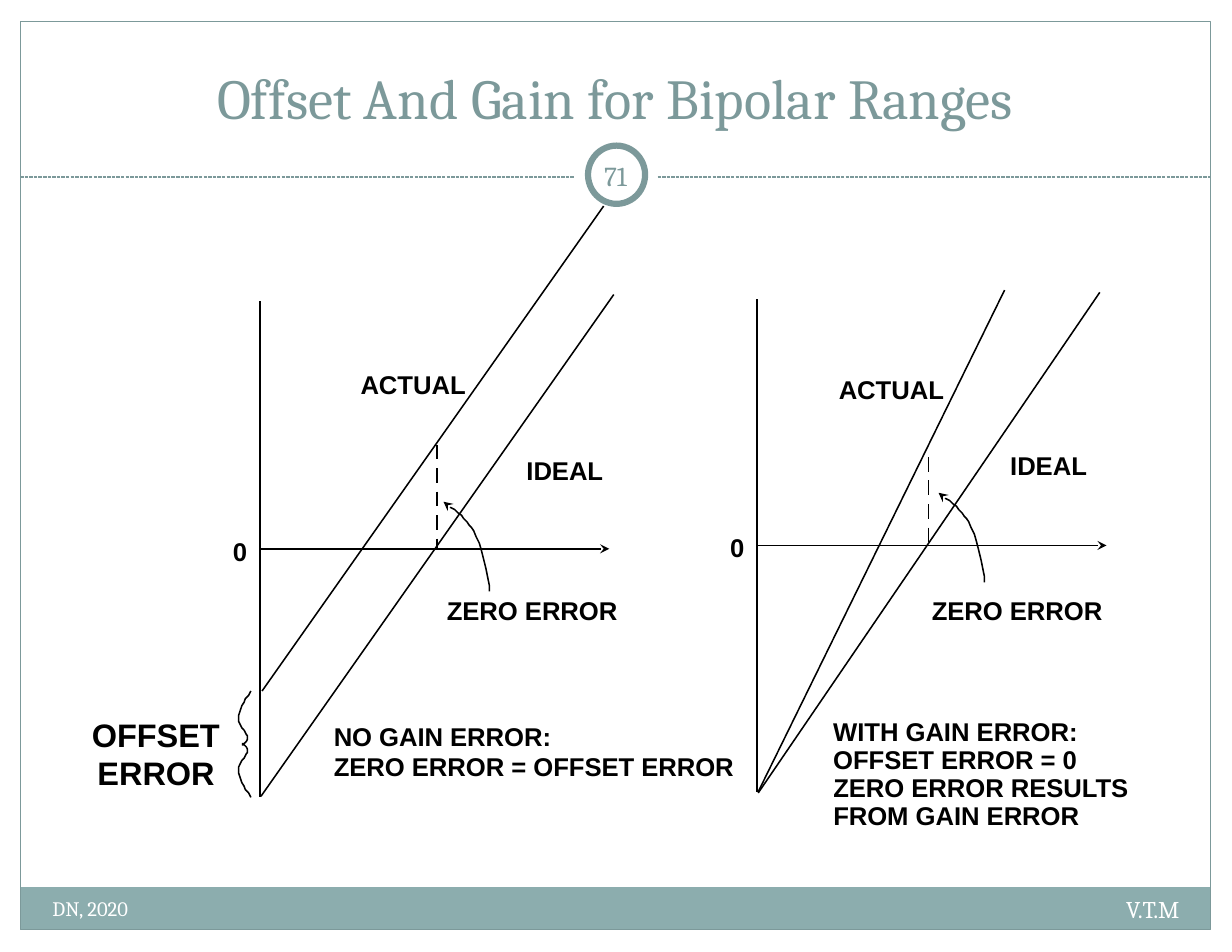
from dataclasses import dataclass, field

from lxml import etree
from pptx import Presentation
from pptx.dml.color import RGBColor
from pptx.enum.dml import MSO_LINE
from pptx.enum.shapes import MSO_CONNECTOR, MSO_SHAPE
from pptx.enum.text import MSO_ANCHOR, MSO_AUTO_SIZE, PP_ALIGN
from pptx.oxml.ns import qn
from pptx.util import Inches, Pt

STRAIGHT = MSO_CONNECTOR.STRAIGHT
RECTANGLE, OVAL = MSO_SHAPE.RECTANGLE, MSO_SHAPE.OVAL
SYSTEM_DASH = MSO_LINE.SQUARE_DOT
LEFT, CENTER, RIGHT = PP_ALIGN.LEFT, PP_ALIGN.CENTER, PP_ALIGN.RIGHT
TOP, MIDDLE, BOTTOM = MSO_ANCHOR.TOP, MSO_ANCHOR.MIDDLE, MSO_ANCHOR.BOTTOM
FIT_SHAPE, NO_FIT = MSO_AUTO_SIZE.SHAPE_TO_FIT_TEXT, MSO_AUTO_SIZE.NONE

COLORS = {"ink": "000000", "teal": "7C999A", "band": "8CADAE", "paper": "FFFFFF"}
COLUMNS, ROWS = 11, 8.5
MARGINS = ("margin_left", "margin_top", "margin_right", "margin_bottom")

BRACE_TOP = [
    (2.24, 6.17), (2.22, 6.21), (2.19, 6.24), (2.18, 6.27), (2.16, 6.3), (2.15, 6.33),
    (2.14, 6.36), (2.13, 6.39), (2.13, 6.44), (2.14, 6.46), (2.15, 6.48), (2.16, 6.5),
    (2.18, 6.52), (2.19, 6.54), (2.2, 6.56), (2.21, 6.57), (2.21, 6.6), (2.2, 6.62),
    (2.18, 6.64), (2.16, 6.64),
]
BRACE_HEIGHT_SUM = 13.29  # the lower half mirrors the upper one
POINTER = [
    (4.37, 5.28), (4.37, 5.23), (4.36, 5.18), (4.34, 5.08), (4.32, 5), (4.3, 4.92),
    (4.28, 4.85), (4.25, 4.79), (4.23, 4.74), (4.21, 4.71), (4.19, 4.69), (4.17, 4.66),
    (4.14, 4.63), (4.12, 4.6), (4.09, 4.58), (4.06, 4.55), (4.02, 4.53), (3.99, 4.5),
    (3.96, 4.48),
]


def rgb(name):
    return RGBColor.from_string(COLORS[name])


@dataclass
class Sketch:
    """Draws on one slide, with lengths in grid columns and rows."""

    presentation: object
    slide: object
    label_format: dict = field(
        default_factory=lambda: {"name": "Arial", "size": Pt(16.5), "bold": True})

    def across(self, columns):
        return round(self.presentation.slide_width * columns / COLUMNS)

    def down(self, rows):
        return round(self.presentation.slide_height * rows / ROWS)

    def place(self, box):
        left, top, width, height = box
        return self.across(left), self.down(top), self.across(width), self.down(height)

    def style_line(self, shape, color="ink", width=1, dash=None, arrow=False):
        shape.line.color.rgb = rgb(color)
        shape.line.width = Pt(width)
        if dash:
            shape.line.dash_style = dash
        if arrow:
            etree.SubElement(shape.line._get_or_add_ln(), qn("a:tailEnd"), type="stealth")

    def shape(self, kind, box, fill=None, line=None, width=1):
        shape = self.slide.shapes.add_shape(kind, *self.place(box))
        shape.shadow.inherit = False
        if fill:
            shape.fill.solid()
            shape.fill.fore_color.rgb = rgb(fill)
        else:
            shape.fill.background()
        if line:
            self.style_line(shape, line, width)
        else:
            shape.line.fill.background()

    def line(self, start, end, shapes=None, **style):
        connector = (shapes or self.slide.shapes).add_connector(
            STRAIGHT, self.across(start[0]), self.down(start[1]),
            self.across(end[0]), self.down(end[1]))
        etree.SubElement(connector._element.spPr, qn("a:effectLst"))
        # effects must follow the line in the schema
        effects = connector._element.spPr[-1]
        self.style_line(connector, **style)
        connector._element.spPr.append(effects)

    def dashed_drop(self, column, top, bottom, dash=0.13, pitch=0.21):
        group = self.slide.shapes.add_group_shape()
        row = top
        while row < bottom - 0.05:
            self.line((column, row), (column, min(row + dash, bottom)), group.shapes)
            row += pitch

    def curve(self, points, shapes=None, **style):
        start, *rest = [(self.across(x), self.down(y)) for x, y in points]
        builder = (shapes or self.slide.shapes).build_freeform(*start)
        builder.add_line_segments(rest, close=False)
        shape = builder.convert_to_shape()
        shape.shadow.inherit = False
        shape.fill.background()
        self.style_line(shape, **style)

    def text(self, words, box, color="ink", align=LEFT, anchor=TOP,
             insets=(0.1, 0.05, 0.1, 0.05), wrap=True, fit=NO_FIT, **font_format):
        frame = self.slide.shapes.add_textbox(*self.place(box)).text_frame
        settings = dict(zip(MARGINS, map(Inches, insets)))
        settings |= {"word_wrap": wrap, "auto_size": fit, "vertical_anchor": anchor}
        for name, value in settings.items():
            setattr(frame, name, value)
        paragraph = frame.paragraphs[0]
        paragraph.alignment = align
        run = paragraph.add_run()
        run.text = words
        for name, value in font_format.items():
            setattr(run.font, name, value)
        run.font.color.rgb = rgb(color)

    def label(self, words, column, row, width, height=0.39, **changes):
        self.text(words, (column, row, width, height), wrap=False, fit=FIT_SHAPE,
                  insets=(0.11, 0.06, 0.11, 0.06), **(self.label_format | changes))

    def label_lines(self, lines, column, row, pitch):
        for index, (words, width) in enumerate(lines):
            self.label(words, column, row + index * pitch, width)


def draw_frame(sketch):
    sketch.shape(RECTANGLE, (0.18, 7.92, 10.63, 0.38), fill="band")
    sketch.shape(RECTANGLE, (0.18, 0.19, 10.63, 8.11), line="teal", width=0.75)
    sketch.line((0.18, 1.58), (10.81, 1.58), color="teal", width=0.75, dash=SYSTEM_DASH)
    sketch.shape(OVAL, (5.13, 1.18, 0.73, 0.76), fill="paper")
    sketch.shape(OVAL, (5.25, 1.3, 0.51, 0.52), fill="paper", line="teal", width=4)

    serif = {"name": "Cambria"}
    sketch.text("Offset And Gain for Bipolar Ranges", (0.36, 0.28, 10.27, 0.94),
                "teal", CENTER, BOTTOM, size=Pt(36.3), **serif)
    sketch.text("71", (5.22, 1.29, 0.55, 0.55), "teal", CENTER, MIDDLE,
                insets=[0.05] * 4, size=Pt(17.6), **serif)
    sketch.text("V.T.M", (6.97, 7.94, 3.66, 0.45), "paper", RIGHT, size=Pt(15.4), **serif)
    sketch.text("DN, 2020", (0.37, 7.95, 4.31, 0.45), "paper", size=Pt(13.2), **serif)


def draw_graph(sketch, origin, axis_top, axis_bottom, actual, ideal, drop, pointer_shift):
    column, row = origin
    sketch.line((column, axis_top), (column, axis_bottom))
    sketch.line(*actual)
    sketch.line(*ideal)
    sketch.line(origin, (column + 3.12, row), arrow=True)
    sketch.dashed_drop(*drop)
    shift_x, shift_y = pointer_shift
    sketch.curve([(x + shift_x, y + shift_y) for x, y in POINTER], arrow=True)
    sketch.label("0", column - 0.35, row - 0.18, 0.35)


def draw_offset_brace(sketch):
    group = sketch.slide.shapes.add_group_shape()
    sketch.curve(BRACE_TOP, group.shapes)
    sketch.curve([(x, BRACE_HEIGHT_SUM - y) for x, y in BRACE_TOP], group.shapes)
    for words, row, width in (("OFFSET", 6.32, 1.38), ("ERROR", 6.66, 1.28)):
        sketch.label(words, 1.4 - width / 2, row, width, 0.46, size=Pt(20.9))


def main():
    presentation = Presentation()
    presentation.slide_width, presentation.slide_height = Inches(COLUMNS), Inches(ROWS)
    slide = presentation.slides.add_slide(presentation.slide_layouts[6])
    sketch = Sketch(presentation, slide)

    draw_frame(sketch)
    draw_offset_brace(sketch)
    draw_graph(sketch, (2.32, 4.9), 2.69, 7.12, ((5.39, 1.84), (2.34, 6.17)),
               ((5.48, 2.63), (2.33, 7.11)), (3.9, 3.97, 4.9), (0, 0))
    draw_graph(sketch, (6.76, 4.87), 2.67, 7.07, ((8.97, 2.59), (6.77, 7.07)),
               ((9.82, 2.61), (6.77, 7.08)), (8.29, 4.08, 4.84), (4.42, -0.08))

    for words, width, places in (
        ("ACTUAL", 1.17, ((3.11, 3.23), (7.38, 3.28))),
        ("IDEAL", 0.92, ((4.59, 4), (8.91, 3.96))),
        ("ZERO ERROR", 1.77, ((3.88, 5.25), (8.21, 5.25))),
    ):
        for column, row in places:
            sketch.label(words, column, row, width)
    sketch.label_lines((("NO GAIN ERROR:", 2.19), ("ZERO ERROR = OFFSET ERROR", 3.85)),
                       2.87, 6.38, 0.26)
    sketch.label_lines((("WITH GAIN ERROR:", 2.44), ("OFFSET ERROR = 0", 2.43),
                        ("ZERO ERROR RESULTS", 2.89), ("FROM GAIN ERROR", 2.45)),
                       7.33, 6.33, 0.25)
    presentation.save("out.pptx")


if __name__ == "__main__":
    main()
